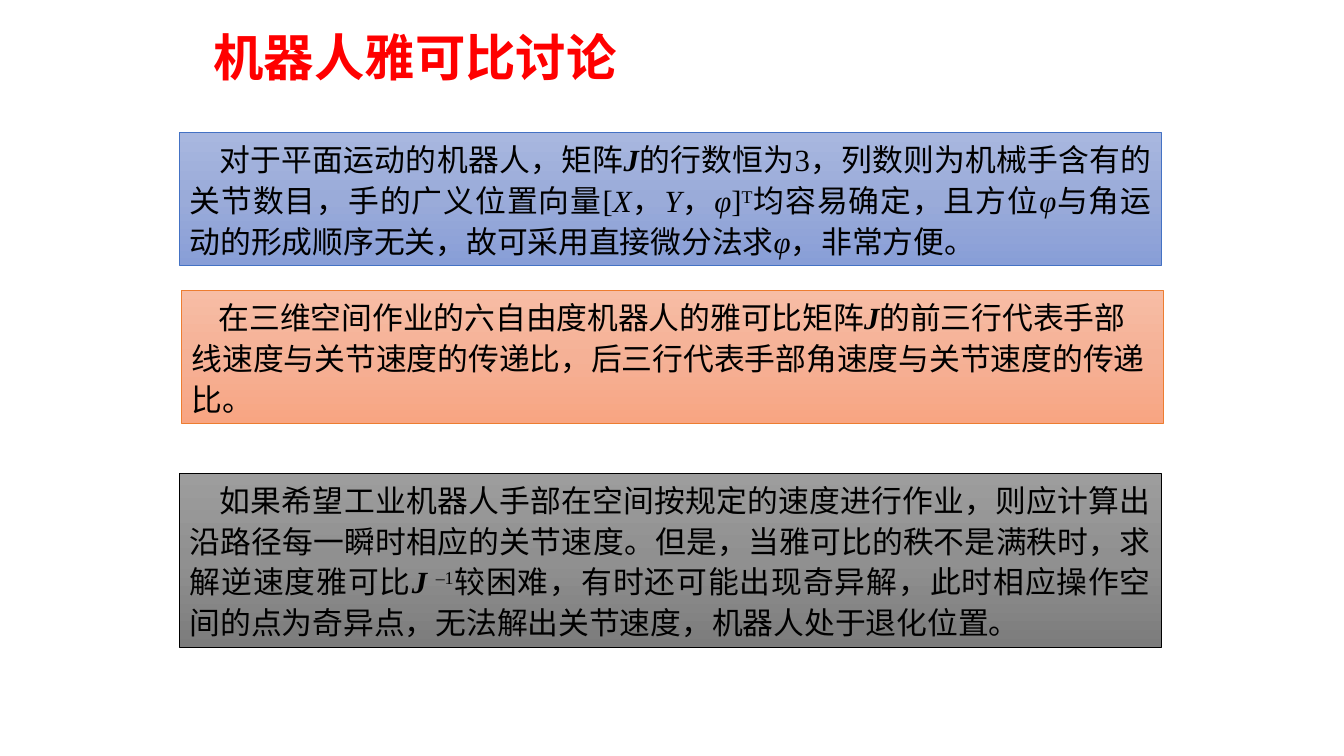
from copy import deepcopy

from pptx import Presentation
from pptx import util as u
from pptx.dml.color import RGBColor
from pptx.enum import lang, shapes, text
from pptx.oxml.ns import qn
from pptx.oxml.xmlchemy import OxmlElement

SANS, SERIF = "Noto Sans CJK SC", "Times New Roman"
PLAIN, ITALIC, VECTOR, RAISED = "plain", "italic", "vector", "raised"


def color(hex_code):
    return RGBColor.from_string(hex_code)


def add_run(paragraph, words, size, latin, hex_code, style=PLAIN, bold=False):
    run = paragraph.add_run()
    run.text = words
    font_format = {
        "size": u.Pt(size), "name": latin, "bold": bold or style == VECTOR,
        "italic": style in (ITALIC, VECTOR),
        "language_id": lang.MSO_LANGUAGE_ID.SIMPLIFIED_CHINESE,
    }
    for key, value in font_format.items():
        setattr(run.font, key, value)
    run.font.color.rgb = color(hex_code)
    properties = run._r.get_or_add_rPr()
    if style == RAISED:
        properties.set("baseline", "30000")
    east_asian = OxmlElement("a:ea")
    east_asian.set("typeface", SANS)
    properties.append(east_asian)


prs = Presentation()
prs.slide_width, prs.slide_height = u.Cm(33.87), u.Cm(19.05)
slide = prs.slides.add_slide(prs.slide_layouts[6])

# Title
title = slide.shapes.add_textbox(u.Cm(5.13), u.Cm(0.53), u.Cm(10.72), u.Cm(1.8))
title.text_frame.word_wrap = False
add_run(title.text_frame.paragraphs[0], "机器人雅可比讨论", 36, SANS, "FF0000", bold=True)

# Discussion points: left, top, height, gradient, line, alignment, indent, runs
JUSTIFY, LEFT = text.PP_ALIGN.JUSTIFY, text.PP_ALIGN.LEFT
points = [
    (4.53, 3.34, 3.36, ("A8B7DF", "9AABD9", "889ED7"), "4472C4", JUSTIFY, 0.76, [
        ("对于平面运动的机器人，矩阵", PLAIN), ("J", VECTOR),
        ("的行数恒为3，列数则为机械手含有的关节数目，手的广义位置向量[", PLAIN),
        ("X", ITALIC), ("，", PLAIN), ("Y", ITALIC), ("，", PLAIN), ("φ", ITALIC),
        ("]", PLAIN), ("T", RAISED), ("均容易确定，且方位", PLAIN), ("φ", ITALIC),
        ("与角运动的形成顺序无关，故可采用直接微分法求", PLAIN), ("φ", ITALIC),
        ("，非常方便。", PLAIN)]),
    (4.58, 7.32, 3.36, ("F7BDA5", "F5B196", "F8A582"), "ED7D31", LEFT, 0.68, [
        ("在三维空间作业的六自由度机器人的雅可比矩阵", PLAIN), ("J", VECTOR),
        ("的前三行代表手部线速度与关节速度的传递比，"
         "后三行代表手部角速度与关节速度的传递比。", PLAIN)]),
    (4.53, 11.92, 4.4, ("9D9D9D", "909090", "7C7C7C"), "000000", JUSTIFY, 0.76, [
        ("如果希望工业机器人手部在空间按规定的速度进行作业，"
         "则应计算出沿路径每一瞬时相应的关节速度。"
         "但是，当雅可比的秩不是满秩时，求解逆速度雅可比", PLAIN),
        ("J ", VECTOR), ("–1", RAISED),
        ("较困难，有时还可能出现奇异解，此时相应操作空间的点为奇异点，"
         "无法解出关节速度，机器人处于退化位置。", PLAIN)]),
]

for left, top, height, shades, border, alignment, indent, runs in points:
    panel = slide.shapes.add_shape(
        shapes.MSO_SHAPE.RECTANGLE, u.Cm(left), u.Cm(top), u.Cm(24.74), u.Cm(height))
    panel.shadow.inherit = False
    panel.line.color.rgb = color(border)
    panel.line.width = u.Pt(0.5)

    # Three-stop gradient running downwards
    panel.fill.gradient()
    panel.fill.gradient_angle = 270
    stop_list = panel._element.spPr.find(".//" + qn("a:gsLst"))
    stop_list.insert(1, deepcopy(stop_list[0]))
    for stop, position, shade in zip(panel.fill.gradient_stops, (0, 0.5, 1), shades):
        stop.position = position
        stop.color.rgb = color(shade)

    # Paragraph with a first-line indent
    frame = panel.text_frame
    frame.word_wrap = True
    frame.vertical_anchor = text.MSO_ANCHOR.TOP
    paragraph = frame.paragraphs[0]
    for key, value in {"alignment": alignment, "line_spacing": 1.1}.items():
        setattr(paragraph, key, value)
    paragraph._p.get_or_add_pPr().set("indent", str(u.Cm(indent)))
    for words, style in runs:
        add_run(paragraph, words, 22, SERIF, "000000", style)

prs.save("out.pptx")
